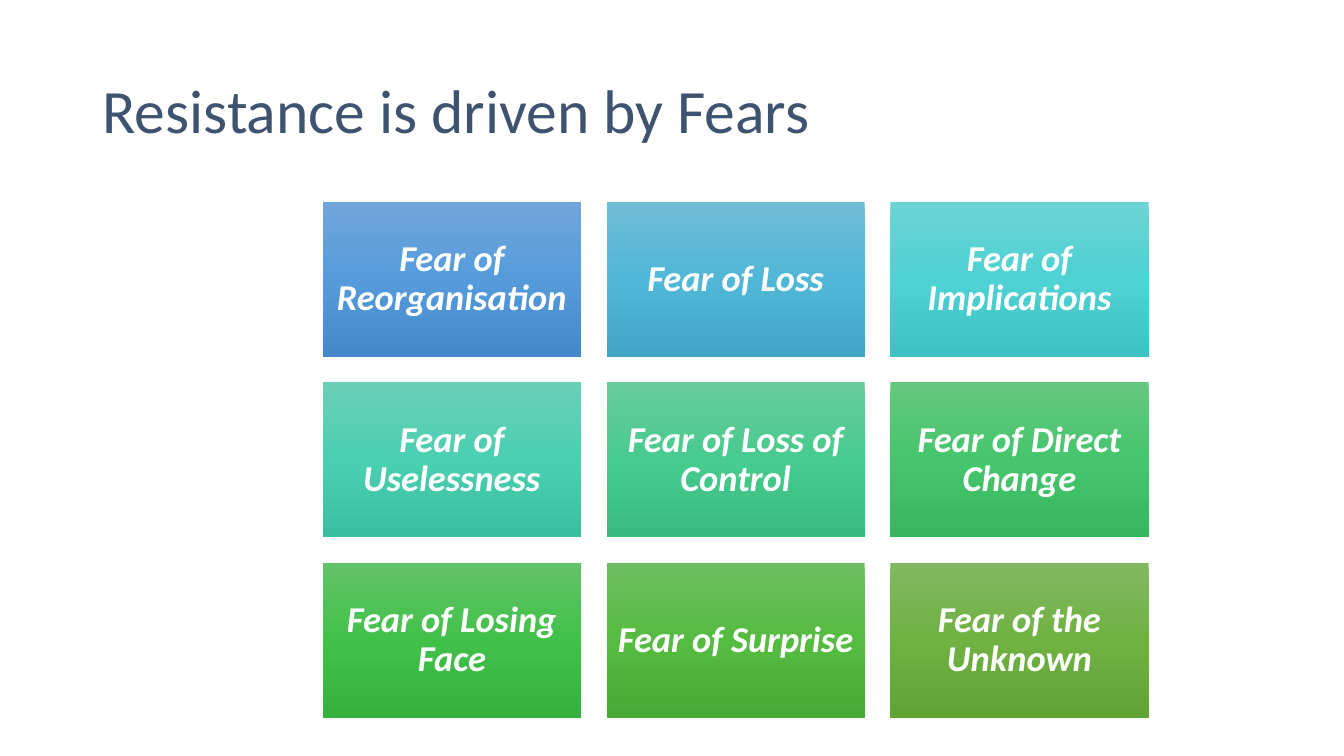
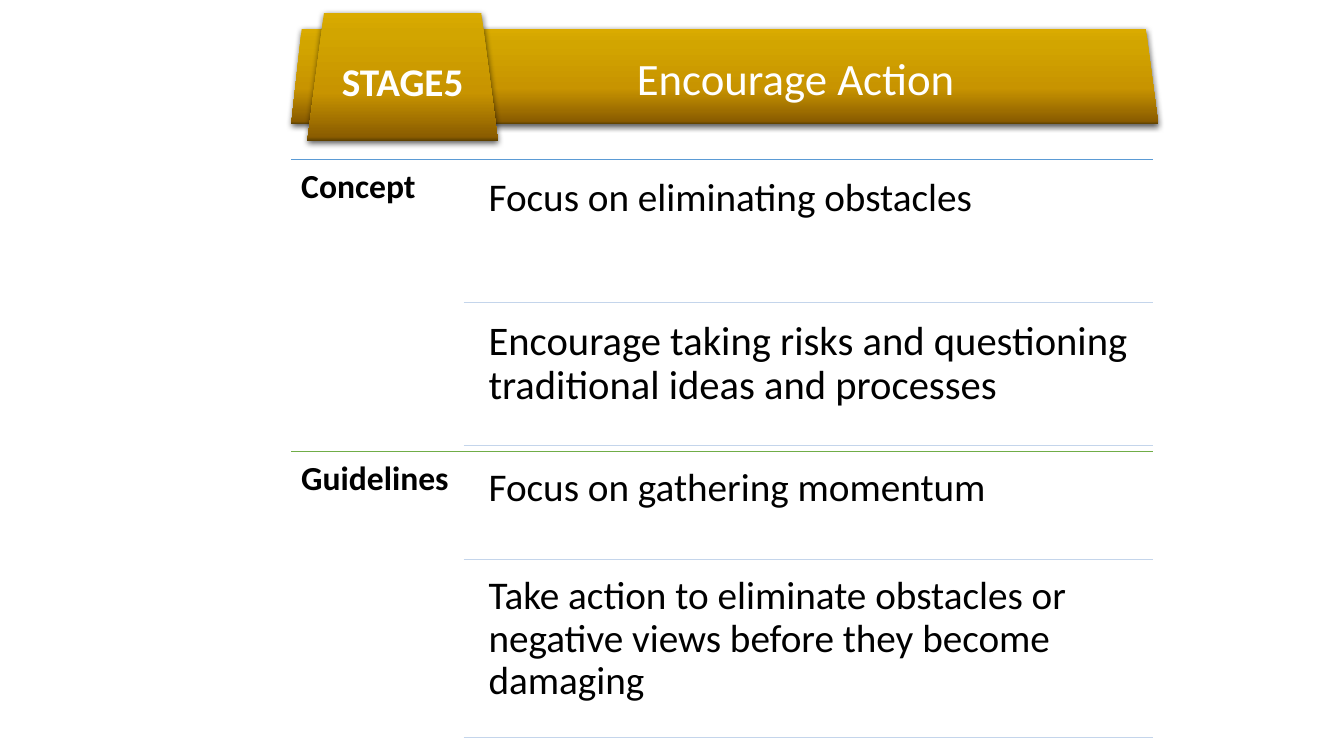
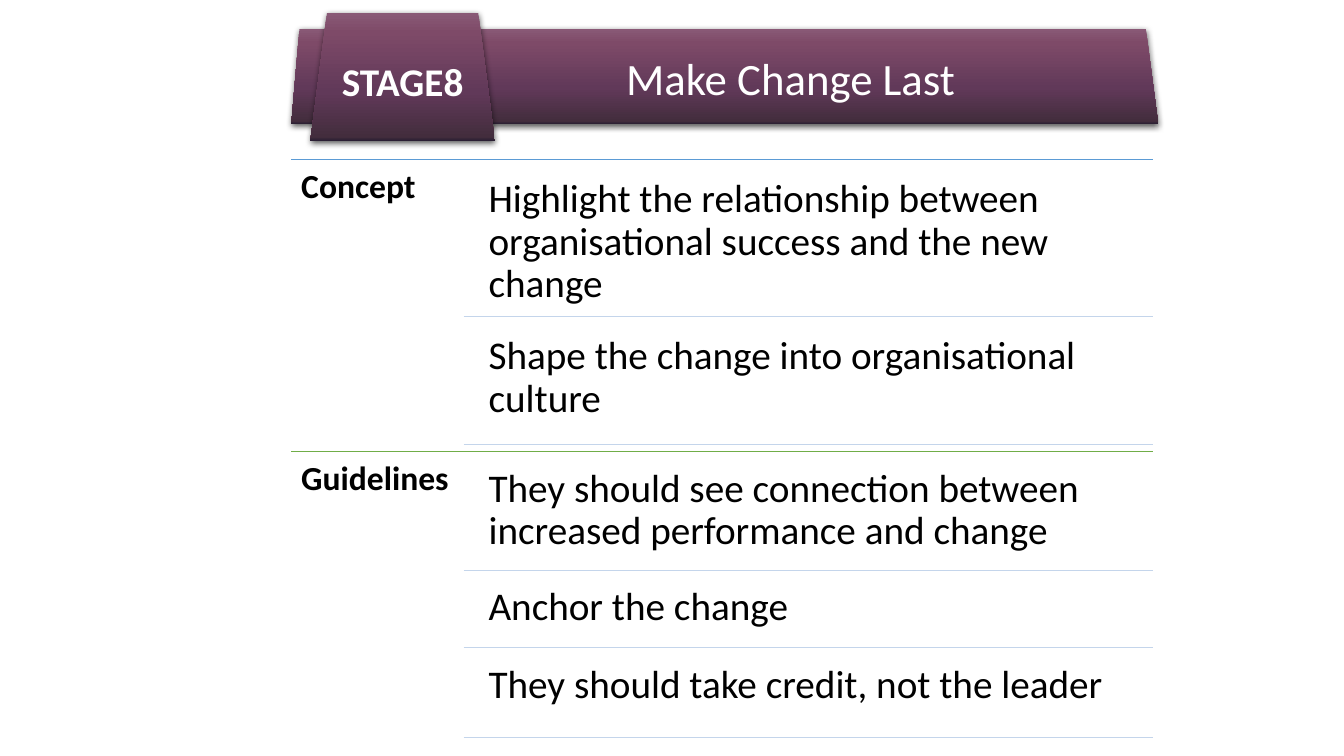
from dataclasses import dataclass

from lxml import etree
from pptx import Presentation
from pptx.dml.color import RGBColor
from pptx.enum import shapes, text
from pptx.oxml.ns import qn
from pptx.util import Pt


@dataclass(frozen=True)
class Theme:
    font: str = "Calibri"
    heading: str = "3E5370"
    white: str = "FFFFFF"
    black: str = "000000"
    item_rule: str = "C4D5EB"
    concept_rule: str = "5B9BD5"
    guidelines_rule: str = "70AD47"
    gold: tuple = ("DAAB00", "D2A500", "C89400", "8A5C00", "5C4000")
    plum: tuple = ("895976", "7E4A68", "613959", "432D3D", "291E32")
    banner_stops: tuple = (0, 15, 62, 97, 100)
    card_stops: tuple = (0, 50, 100)
    title_size: float = 44
    banner_size: float = 32
    item_size: float = 28
    card_size: float = 26
    label_size: float = 24


THEME = Theme()


@dataclass(frozen=True)
class Box:
    left: float
    top: float
    width: float
    height: float

    def lengths(self):
        return [Pt(n) for n in (self.left, self.top, self.width, self.height)]


@dataclass(frozen=True)
class Item:
    words: str
    height: float
    size: float = THEME.item_size


@dataclass(frozen=True)
class Section:
    label: str
    rule: str
    gap: float
    items: tuple


@dataclass(frozen=True)
class Stage:
    tab: str
    title: str
    colors: tuple
    stub_width: float
    title_offset: float
    tab_width: float
    sections: tuple


TITLE_BOX = Box(66, 28.8, 828, 104.4)
FEAR_BOX = Box(230.6, 144.2, 589.8, 368.6)
BANNER_BOX = Box(208.1, 20.9, 619.2, 67.7)
SECTION_BOX = Box(208.1, 113.8, 615.6, 208.4)

FEARS = (
    ("Fear of Reorganisation", ("71A6DB", "559BDB", "448ACA")),
    ("Fear of Loss", ("6FBCD7", "51B7D7", "41A6C6")),
    ("Fear of Implications", ("6CD3D3", "4ED2D3", "3EC2C3")),
    ("Fear of Uselessness", ("69D0B6", "4BCFB1", "3BBFA1")),
    ("Fear of Loss of Control", ("67CC9A", "47CB8E", "39BB7F")),
    ("Fear of Direct Change", ("65C77F", "45C66C", "36B65D")),
    ("Fear of Losing Face", ("63C368", "42C14A", "34B23D")),
    ("Fear of Surprise", ("6EBF61", "55BB41", "49AB35")),
    ("Fear of the Unknown", ("81B861", "6FB242", "62A336")),
)

STAGES = (
    Stage("STAGE5", "Encourage Action ", THEME.gold, 56.9, 108.7, 136.1, (
        Section("Concept", THEME.concept_rule, 4.8, (
            Item("Focus on eliminating obstacles", 97.2),
            Item("Encourage taking risks and questioning traditional ideas and processes",
                 97.2, 29))),
        Section("Guidelines", THEME.guidelines_rule, 3.7, (
            Item("Focus on gathering momentum", 73.4),
            Item("Take action to eliminate obstacles or negative views before they "
                 "become damaging", 124))))),
    Stage("STAGE8", "Make Change Last ", THEME.plum, 44.6, 101.5, 131.8, (
        Section("Concept", THEME.concept_rule, 5.6, (
            Item("Highlight the relationship between organisational success and the "
                 "new change", 106.6),
            Item("Shape the change into organisational culture", 85.5))),
        Section("Guidelines", THEME.guidelines_rule, 3.8, (
            Item("They should see connection between increased performance and change",
                 81.2),
            Item("Anchor the change", 51.2),
            Item("They should take credit, not the leader", 60.8))))),
)


def write(shape, words, size, color, bold=False, italic=False, align=None,
          anchor=text.MSO_ANCHOR.TOP, spacing=0.9, inset=None):
    frame = shape.text_frame
    frame.word_wrap = True
    frame.auto_size = text.MSO_AUTO_SIZE.NONE
    frame.vertical_anchor = anchor
    if inset is not None:
        frame.margin_left = frame.margin_right = Pt(inset)
        frame.margin_top = frame.margin_bottom = Pt(inset)
    frame.text = words
    paragraph = frame.paragraphs[0]
    paragraph.alignment = align
    paragraph.line_spacing = spacing
    font = paragraph.font
    font.name, font.size = THEME.font, Pt(size)
    font.bold, font.italic = bold, italic
    font.color.rgb = RGBColor.from_string(color)


def add_gradient_shape(slide, preset, box, positions, colors):
    """Add a borderless shape whose gradient runs from top to bottom."""
    shape = slide.shapes.add_shape(preset, *box.lengths())
    shape.shadow.inherit = False
    shape.line.fill.background()
    shape.fill.gradient()
    shape.fill.gradient_angle = 270
    stops = shape.element.spPr.find(qn("a:gradFill")).find(qn("a:gsLst"))
    for stop in list(stops):
        stops.remove(stop)
    for position, color in zip(positions, colors):
        stop = etree.SubElement(stops, qn("a:gs"), pos=str(position * 1000))
        etree.SubElement(stop, qn("a:srgbClr"), val=color)
    return shape


def add_trapezoid(slide, box, colors):
    shape = add_gradient_shape(slide, shapes.MSO_SHAPE.TRAPEZOID, box,
                               THEME.banner_stops, colors)
    shape.adjustments[0] = 0.13
    effects = shape.element.spPr.find(qn("a:effectLst"))
    shadow = etree.SubElement(effects, qn("a:outerShdw"), blurRad=str(Pt(4.5)),
                              dist=str(Pt(1.5)), dir="5400000", rotWithShape="0")
    color = etree.SubElement(shadow, qn("a:srgbClr"), val=THEME.black)
    etree.SubElement(color, qn("a:alpha"), val="63000")
    return shape


def add_rule(slide, left, right, top, color):
    rule = slide.shapes.add_connector(shapes.MSO_CONNECTOR.STRAIGHT,
                                      Pt(left), Pt(top), Pt(right), Pt(top))
    rule.line.width = Pt(0.5)
    rule.line.color.rgb = RGBColor.from_string(color)
    etree.SubElement(rule.element.spPr, qn("a:effectLst"))


def add_fear_grid(slide, box, columns=3, gap=18.4):
    rows = len(FEARS) // columns
    width = (box.width - (columns - 1) * gap) / columns
    height = (box.height - (rows - 1) * gap) / rows
    for index, (words, colors) in enumerate(FEARS):
        row, column = divmod(index, columns)
        card_box = Box(box.left + column * (width + gap),
                       box.top + row * (height + gap), width, height)
        card = add_gradient_shape(slide, shapes.MSO_SHAPE.RECTANGLE, card_box,
                                  THEME.card_stops, colors)
        write(card, words, THEME.card_size, THEME.white, bold=True, italic=True,
              align=text.PP_ALIGN.CENTER, anchor=text.MSO_ANCHOR.MIDDLE, inset=7)


def add_banner(slide, box, stage):
    """Draw the two parts of the band, then the tab that covers the gap."""
    tab_center, tab_rise, tab_height = 79.5, 11.5, 91.2
    add_trapezoid(slide, Box(box.left, box.top, stage.stub_width, box.height),
                  stage.colors)
    band = add_trapezoid(slide, Box(box.left + stage.title_offset, box.top,
                                    box.width - stage.title_offset, box.height),
                         stage.colors)
    tab = add_trapezoid(slide, Box(box.left + tab_center - stage.tab_width / 2,
                                   box.top - tab_rise, stage.tab_width, tab_height),
                        stage.colors)
    for shape, words, size, bold in ((band, stage.title, THEME.banner_size, False),
                                     (tab, stage.tab, THEME.item_size, True)):
        write(shape, words, size, THEME.white, bold=bold, spacing=1,
              align=text.PP_ALIGN.CENTER, anchor=text.MSO_ANCHOR.MIDDLE)


def add_section(slide, box, section):
    label_width, item_indent = 123.1, 9.4
    right = box.left + box.width
    rule_left = box.left + label_width
    item_left = rule_left + item_indent
    add_rule(slide, box.left, right, box.top, section.rule)
    label_box = Box(box.left, box.top, label_width, box.height)
    label = slide.shapes.add_textbox(*label_box.lengths())
    write(label, section.label, THEME.label_size, THEME.black, bold=True, inset=7.2)
    top = box.top
    for item in section.items:
        top += section.gap
        item_box = Box(item_left, top, right - item_left, item.height)
        words = slide.shapes.add_textbox(*item_box.lengths())
        write(words, item.words, item.size, THEME.black, inset=8.4)
        top += item.height
        add_rule(slide, rule_left, right, top, THEME.item_rule)


def add_fears_slide(presentation):
    slide = presentation.slides.add_slide(presentation.slide_layouts[5])
    title = slide.shapes.title
    title.left, title.top, title.width, title.height = TITLE_BOX.lengths()
    write(title, "Resistance is driven by Fears", THEME.title_size, THEME.heading,
          align=text.PP_ALIGN.LEFT, anchor=text.MSO_ANCHOR.MIDDLE)
    add_fear_grid(slide, FEAR_BOX)


def add_stage_slide(presentation, stage):
    slide = presentation.slides.add_slide(presentation.slide_layouts[6])
    box = SECTION_BOX
    for index, section in enumerate(stage.sections):
        add_section(slide, Box(box.left, box.top + index * box.height,
                               box.width, box.height), section)
    add_banner(slide, BANNER_BOX, stage)


def main():
    presentation = Presentation()
    presentation.slide_width, presentation.slide_height = Pt(960), Pt(540)
    add_fears_slide(presentation)
    for stage in STAGES:
        add_stage_slide(presentation, stage)
    presentation.save("out.pptx")


if __name__ == "__main__":
    main()
